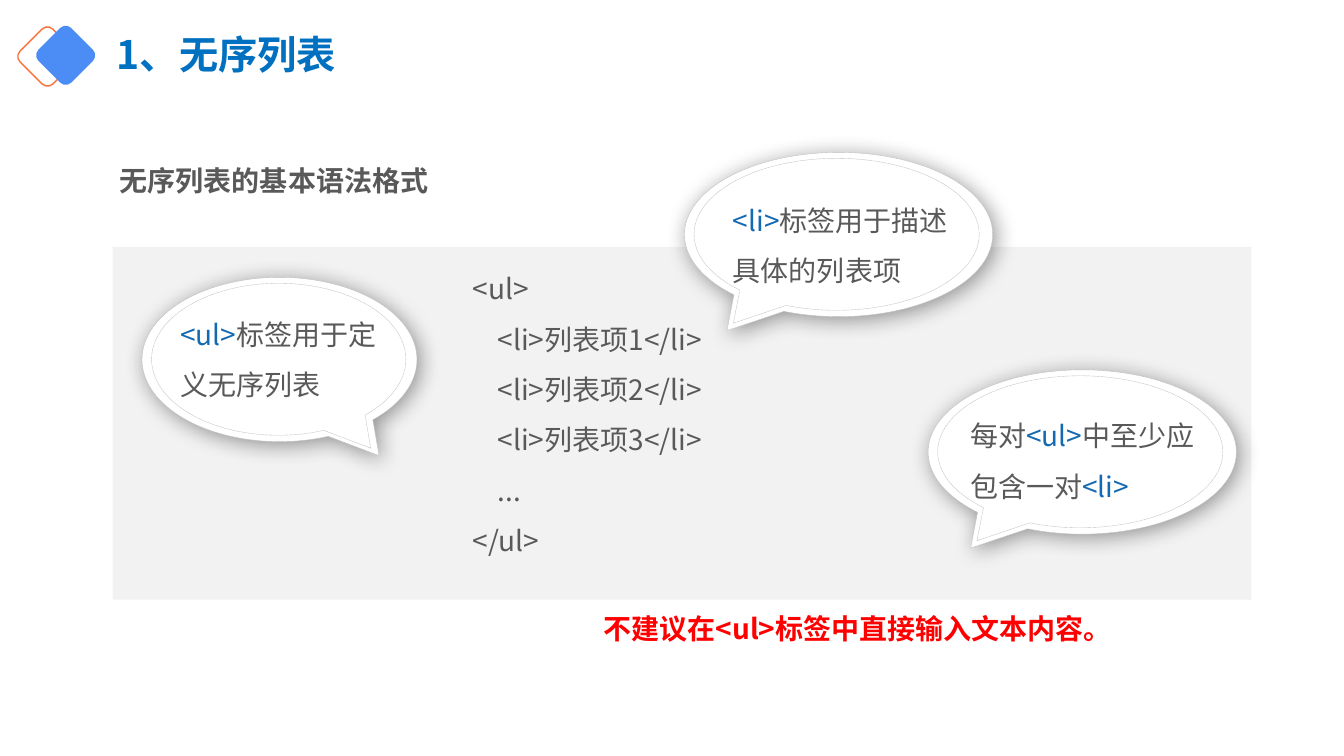
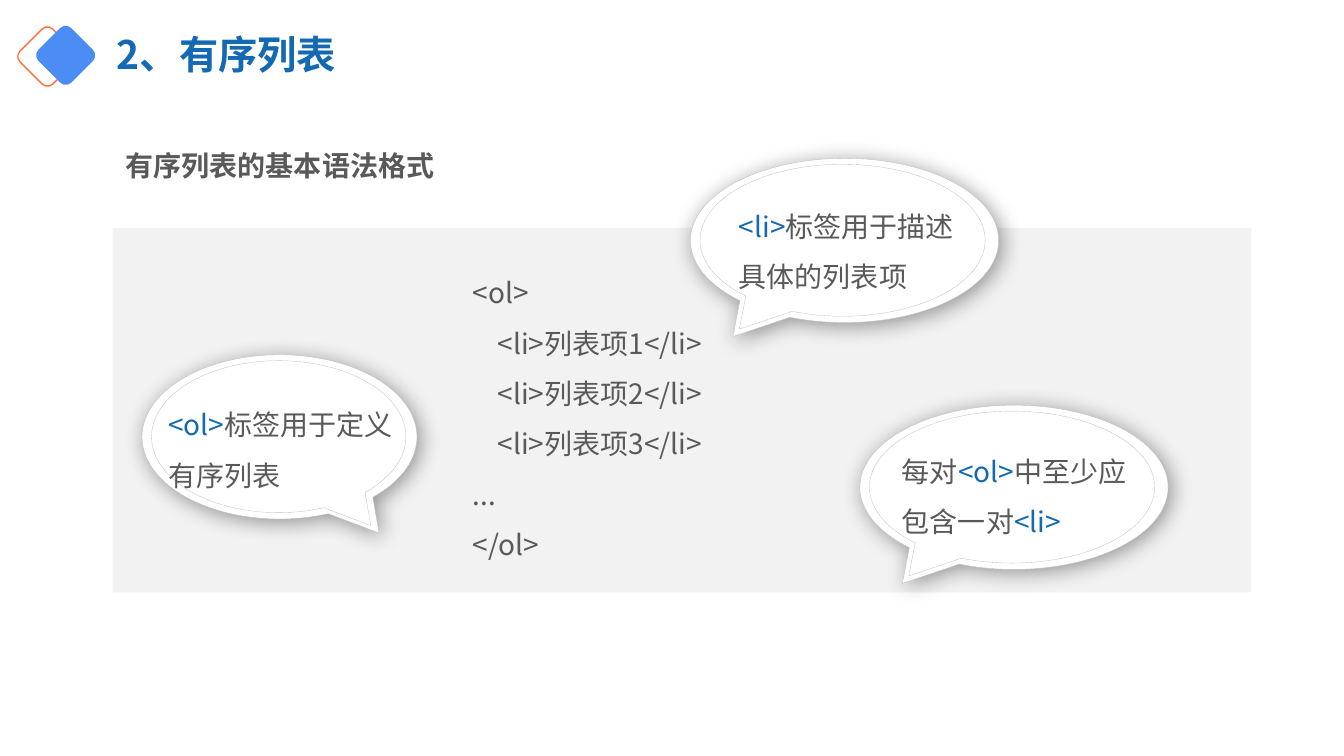
from dataclasses import dataclass

import pptx
import pptx.dml.color
import pptx.enum.dml
import pptx.enum.shapes
import pptx.enum.text
import pptx.oxml
import pptx.oxml.ns
import pptx.util

Cm = pptx.util.Cm
Pt = pptx.util.Pt
RGBColor = pptx.dml.color.RGBColor
SHAPE = pptx.enum.shapes.MSO_SHAPE
ALIGN = pptx.enum.text.PP_ALIGN
ANCHOR = pptx.enum.text.MSO_ANCHOR
qn = pptx.oxml.ns.qn

FONT = "Noto Sans CJK SC"
WHITE = RGBColor(0xFF, 0xFF, 0xFF)
PANEL_GREY = RGBColor(0xF2, 0xF2, 0xF2)
EDGE_GREY = RGBColor(0xBF, 0xBF, 0xBF)
TEXT_GREY = RGBColor(0x59, 0x59, 0x59)
TAG_BLUE = RGBColor(0x13, 0x69, 0xB2)
TITLE_BLUE = RGBColor(0x00, 0x70, 0xC0)
WARNING_RED = RGBColor(0xFF, 0x00, 0x00)
DIAMOND_BLUE = RGBColor(0x4C, 0x8C, 0xF5)
DIAMOND_ORANGE = RGBColor(0xFD, 0x70, 0x3B)

SHADOW = (
    '<a:outerShdw xmlns:a="http://schemas.openxmlformats.org/drawingml/2006/main" '
    'blurRad="203200" dist="38100" dir="2700000" algn="tl" rotWithShape="0">'
    '<a:srgbClr val="000000"><a:alpha val="40000"/></a:srgbClr></a:outerShdw>'
)
PANEL_LEFT, PANEL_WIDTH = 2.84, 28.7
CODE_LEFT, CODE_WIDTH, CODE_HEIGHT = 11.66, 7.11, 7.95
BUBBLE_HEIGHT = 4.14
NARROW, WIDE = 6.93, 7.77
INNER_SCALE = 0.925


@dataclass
class Bubble:
    left: float
    top: float
    width: float
    tip: float
    text_dx: float
    text_dy: float
    text_width: float
    words: list


def box(left, top, width, height):
    return Cm(left), Cm(top), Cm(width), Cm(height)


def add_run(paragraph, text, color, size=20, bold=False):
    run = paragraph.add_run()
    run.text = text
    run.font.size = Pt(size)
    run.font.bold = bold
    run.font.color.rgb = color
    run.font.name = FONT
    east_asian = run.font._element.makeelement(qn("a:ea"), {"typeface": FONT})
    run.font._element.append(east_asian)


def add_text(shapes, area, lines, bold=False):
    """Each line is a list of (text, colour) runs."""
    frame = shapes.add_textbox(*box(*area)).text_frame
    frame.word_wrap = True
    for number, words in enumerate(lines):
        paragraph = frame.add_paragraph() if number else frame.paragraphs[0]
        paragraph.line_spacing = 1.5
        for text, color in words:
            add_run(paragraph, text, color, bold=bold)
    return frame


def add_plain(shapes, preset, area, fill=None, line=None, line_width=1):
    shape = shapes.add_shape(preset, *box(*area))
    shape.shadow.inherit = False
    if fill is None:
        shape.fill.background()
    else:
        shape.fill.solid()
        shape.fill.fore_color.rgb = fill
    if line is None:
        shape.line.fill.background()
    else:
        shape.line.color.rgb = line
        shape.line.width = Pt(line_width)
    return shape


def put_diamonds_on_layout(slide, layout):
    side = 1.17
    diamonds = (
        add_plain(slide.shapes, SHAPE.ROUNDED_RECTANGLE, (0.61, 0.84, side, side),
                  line=DIAMOND_ORANGE),
        add_plain(slide.shapes, SHAPE.ROUNDED_RECTANGLE, (1.07, 0.81, side, side),
                  fill=DIAMOND_BLUE),
    )
    for diamond in diamonds:
        diamond.rotation = 45
        layout.shapes.element.append(diamond.element)


def set_title(slide, text, color):
    title = slide.shapes.title
    title.left, title.top, title.width, title.height = box(2.69, 0.43, 13.03, 2.01)
    frame = title.text_frame
    frame.auto_size = pptx.enum.text.MSO_AUTO_SIZE.NONE
    frame.vertical_anchor = ANCHOR.MIDDLE
    paragraph = frame.paragraphs[0]
    paragraph.alignment = ALIGN.LEFT
    paragraph.line_spacing = 0.9
    add_run(paragraph, text, color, size=28, bold=True)


def add_heading(slide, left, top, text):
    frame = add_text(slide.shapes, (left, top, 22.02, 1.63), [[(text, TEXT_GREY)]], bold=True)
    frame.margin_left = frame.margin_right = Cm(0.33)
    frame.margin_top = frame.margin_bottom = Cm(0.18)
    frame.paragraphs[0].alignment = ALIGN.JUSTIFY


def add_code_panel(slide, top, height, code_dy, code):
    add_plain(slide.shapes, SHAPE.RECTANGLE, (PANEL_LEFT, top, PANEL_WIDTH, height),
              fill=PANEL_GREY)
    add_text(slide.shapes, (CODE_LEFT, top + code_dy, CODE_WIDTH, CODE_HEIGHT),
             [[(line, TEXT_GREY)] for line in code])


def add_bubble(slide, bubble):
    """Shadowed callout with a dashed inner rim and its text, grouped."""
    shapes = slide.shapes.add_group_shape().shapes
    outer_area = (bubble.left, bubble.top, bubble.width, BUBBLE_HEIGHT)
    inner_area = (bubble.left + 0.24, bubble.top + 0.15,
                  bubble.width * INNER_SCALE, BUBBLE_HEIGHT * INNER_SCALE)
    outer, inner = (
        add_plain(shapes, SHAPE.OVAL_CALLOUT, area, WHITE, EDGE_GREY, 0.25)
        for area in (outer_area, inner_area)
    )
    for callout in (outer, inner):
        callout.adjustments[0] = bubble.tip
        callout.adjustments[1] = 0.585
    outer.element.spPr.find(qn("a:effectLst")).append(pptx.oxml.parse_xml(SHADOW))
    inner.line.dash_style = pptx.enum.dml.MSO_LINE.SQUARE_DOT
    add_text(shapes, (bubble.left + bubble.text_dx, bubble.top + bubble.text_dy,
                      bubble.text_width, 2.82), [bubble.words])


def define_bubble(left, top, tag, meaning, **text_place):
    words = [(tag, TAG_BLUE), (meaning, TEXT_GREY)]
    return Bubble(left, top, NARROW, 0.362, words=words, **text_place)


def item_bubble(left, top):
    words = [("<li>", TAG_BLUE), ("标签用于描述具体的列表项", TEXT_GREY)]
    return Bubble(left, top, WIDE, -0.362, 0.97, 0.73, 6.4, words)


def minimum_bubble(left, top, tag):
    words = [("每对", TEXT_GREY), (tag, TAG_BLUE),
             ("中至少应包含一对", TEXT_GREY), ("<li>", TAG_BLUE)]
    return Bubble(left, top, WIDE, -0.362, 0.81, 0.69, 6.7, words)


def list_code(name, dots):
    items = [f"    <li>列表项{number}</li>" for number in range(1, 4)]
    return [f"<{name}>", *items, dots, f"</{name}>"]


def fill_unordered(slide):
    set_title(slide, "1、无序列表", TITLE_BLUE)
    add_heading(slide, 2.69, 3.51, "无序列表的基本语法格式")
    add_code_panel(slide, 6.22, 8.89, 0.08, list_code("ul", "    ..."))
    for bubble in (
        define_bubble(3.58, 6.99, "<ul>", "标签用于定义无序列表",
                      text_dx=0.71, text_dy=0.46, text_width=5.49),
        item_bubble(17.25, 3.84),
        minimum_bubble(23.39, 9.32, "<ul>"),
    ):
        add_bubble(slide, bubble)
    add_text(slide.shapes, (14.96, 14.86, 16.56, 1.52),
             [[("不建议在<ul>标签中直接输入文本内容。", WARNING_RED)]], bold=True)


def fill_ordered(slide):
    set_title(slide, "2、有序列表", TAG_BLUE)
    add_heading(slide, 2.84, 3.15, "有序列表的基本语法格式")
    add_code_panel(slide, 5.74, 9.19, 0.66, list_code("ol", "..."))
    for bubble in (
        define_bubble(3.58, 8.94, "<ol>", "标签用于定义有序列表",
                      text_dx=0.41, text_dy=0.79, text_width=6.4),
        item_bubble(17.4, 3.99),
        minimum_bubble(21.67, 10.21, "<ol>"),
    ):
        add_bubble(slide, bubble)


def main():
    deck = pptx.Presentation()
    deck.slide_width, deck.slide_height = Cm(33.87), Cm(19.05)
    title_only = deck.slide_layouts[5]
    unordered, ordered = (deck.slides.add_slide(title_only) for _ in range(2))
    put_diamonds_on_layout(unordered, title_only)
    fill_unordered(unordered)
    fill_ordered(ordered)
    deck.save("out.pptx")


if __name__ == "__main__":
    main()
